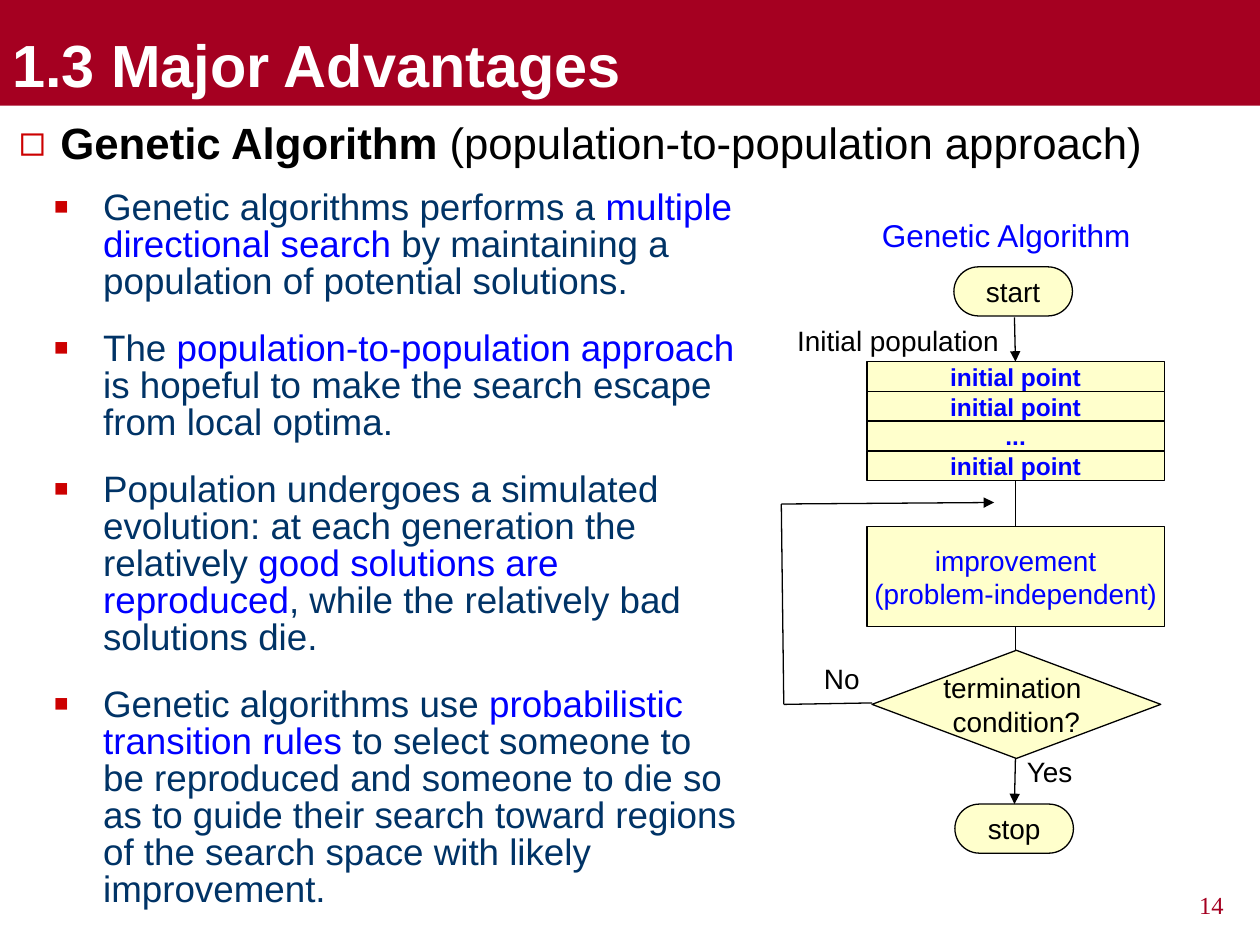
"""Build the genetic algorithm advantages slide with its flow chart."""
from lxml import etree
from pptx import Presentation
from pptx import util as u
from pptx.dml import color
from pptx.enum import shapes, text
from pptx.oxml import ns

COLORS = {
    "crimson": "A50021", "white": "FFFFFF", "black": "000000", "navy": "003366",
    "blue": "0000FF", "cream": "FFFFCC", "red": "CC0000",
}
TITLE = {"size": u.Pt(34), "bold": True}
HEADING = {"size": u.Pt(25)}
BODY = {"size": u.Pt(21)}
CAPTION = {"size": u.Pt(18)}
LABEL = {"size": u.Pt(16)}
POINT = {"size": u.Pt(14), "bold": True}
NUMBER = {"size": u.Pt(14), "name": "Times New Roman"}

LEFT, CENTER, RIGHT = text.PP_ALIGN.LEFT, text.PP_ALIGN.CENTER, text.PP_ALIGN.RIGHT
RECTANGLE = shapes.MSO_SHAPE.RECTANGLE
DECISION = shapes.MSO_SHAPE.FLOWCHART_DECISION
ROUNDED = shapes.MSO_SHAPE.ROUNDED_RECTANGLE

ADVANTAGES = [
    ("Genetic algorithms performs a ", "multiple directional search",
     " by maintaining a population of potential solutions."),
    ("The ", "population-to-population approach",
     " is hopeful to make the search escape from local optima."),
    ("Population undergoes a simulated evolution: at each generation the relatively ",
     "good solutions are reproduced", ", while the relatively bad solutions die."),
    ("Genetic algorithms use ", "probabilistic transition rules",
     " to select someone to be reproduced and someone to die so as to guide their "
     "search toward regions of the search space with likely improvement."),
]
COLUMN_LEFT, COLUMN_WIDTH, AXIS = 17.48, 5.99, 20.47
POINT_TOP, POINT_HEIGHT = 7.29, 0.6
NODES = [
    (RECTANGLE, (COLUMN_LEFT, 10.62, COLUMN_WIDTH, 2.01),
     "improvement\n(problem-independent)", LABEL, "blue"),
    (DECISION, (17.58, 13.11, 5.82, 2.18), "termination \ncondition?", LABEL, "black"),
    (ROUNDED, (19.23, 5.38, 2.39, 0.99), "start", LABEL, "black"),
    (ROUNDED, (19.25, 16.21, 2.39, 0.99), "stop", LABEL, "black"),
]
LABELS = [
    ((17.53, 4.24, 5.54, 1.02), "Genetic Algorithm", CAPTION, "blue"),
    ((15.82, 6.4, 4.57, 0.94), "Initial population", LABEL, "black"),
    ((20.45, 15.09, 1.47, 0.94), "Yes", LABEL, "black"),
    ((16.36, 13.21, 1.22, 0.94), "No", LABEL, "black"),
]
LINES = [
    ((20.45, 6.4), (AXIS, 7.29), True),
    ((AXIS, 15.29), (20.45, 16.21), True),
    ((AXIS, 9.69), (AXIS, 10.62), False),
    ((AXIS, 12.63), (AXIS, 13.11), False),
    ((15.75, 10.16), (20.04, 10.13), True),
    ((15.75, 10.16), (15.8, 14.2), False),
    ((15.8, 14.2), (17.58, 14.17), False),
]


def rgb(name):
    """Return the named colour."""
    return color.RGBColor.from_string(COLORS[name])


def apply(target, values):
    """Set each attribute in values on the target."""
    for name, value in values.items():
        setattr(target, name, value)


def add_run(paragraph, words, style, color_name):
    """Add a formatted run to a paragraph."""
    run = paragraph.add_run()
    run.text = words
    apply(run.font, {"name": "Arial", **style})
    run.font.color.rgb = rgb(color_name)


def write_lines(frame, words, style, color_name, align):
    """Write each line of words as its own paragraph."""
    for index, line in enumerate(words.split("\n")):
        paragraph = frame.add_paragraph() if index else frame.paragraphs[0]
        paragraph.alignment = align
        add_run(paragraph, line, style, color_name)


def add_bullet(paragraph, character, percent, margin, indent):
    """Give a paragraph a red bullet and a hanging indent."""
    properties = paragraph._p.get_or_add_pPr()
    properties.set("marL", str(u.Cm(margin)))
    properties.set("indent", str(u.Cm(indent)))
    bullet_color = etree.SubElement(properties, ns.qn("a:buClr"))
    etree.SubElement(bullet_color, ns.qn("a:srgbClr"), val=COLORS["red"])
    etree.SubElement(properties, ns.qn("a:buSzPct"), val=str(percent * 1000))
    etree.SubElement(properties, ns.qn("a:buFont"), typeface="Arial")
    etree.SubElement(properties, ns.qn("a:buChar"), char=character)


def add_text(slide, box, wrap=True):
    """Add a text box and return its frame."""
    frame = slide.shapes.add_textbox(*map(u.Cm, box)).text_frame
    frame.word_wrap = wrap
    return frame


def add_label(slide, box, words, style, color_name, align=LEFT, wrap=False):
    """Add a plain label."""
    write_lines(add_text(slide, box, wrap), words, style, color_name, align)


def add_node(slide, kind, box, words, style, color_name):
    """Add an outlined flow chart node with centred text."""
    shape = slide.shapes.add_shape(kind, *map(u.Cm, box))
    shape.shadow.inherit = False
    shape.fill.solid()
    shape.fill.fore_color.rgb = rgb("cream")
    shape.line.color.rgb = rgb("black")
    shape.line.width = u.Pt(0.75)
    if kind == ROUNDED:
        shape.adjustments[0] = 0.5
    apply(shape.text_frame, {"word_wrap": False, "vertical_anchor": text.MSO_ANCHOR.MIDDLE})
    write_lines(shape.text_frame, words, style, color_name, CENTER)


def add_line(slide, start, end, arrow):
    """Add a straight line, with an arrowhead at its end if asked."""
    connector = slide.shapes.add_connector(
        shapes.MSO_CONNECTOR.STRAIGHT, *map(u.Cm, start + end))
    connector.line.color.rgb = rgb("black")
    connector.line.width = u.Pt(0.75)
    if arrow:
        etree.SubElement(connector.line._get_or_add_ln(), ns.qn("a:tailEnd"), type="triangle")
    etree.SubElement(connector._element.spPr, ns.qn("a:effectLst"))


def add_title(slide):
    """Add the title band."""
    band = slide.shapes.add_shape(RECTANGLE, *map(u.Cm, (0, 0, 25.4, 2.13)))
    band.shadow.inherit = False
    band.fill.solid()
    band.fill.fore_color.rgb = rgb("crimson")
    band.line.fill.background()
    band.text_frame.vertical_anchor = text.MSO_ANCHOR.BOTTOM
    write_lines(band.text_frame, "1.3 Major Advantages", TITLE, "white", LEFT)


def add_heading(slide):
    """Add the bulleted heading."""
    paragraph = add_text(slide, (0.13, 2.21, 23.39, 1.32)).paragraphs[0]
    add_bullet(paragraph, "◻", 100, 0.84, -0.84)
    add_run(paragraph, "Genetic Algorithm", {**HEADING, "bold": True}, "black")
    add_run(paragraph, " (population-to-population approach)", HEADING, "black")


def add_advantages(slide):
    """Add the bulleted advantages with their key phrases in blue."""
    frame = add_text(slide, (0.1, 3.73, 15.01, 15.01))
    for index, parts in enumerate(ADVANTAGES):
        paragraph = frame.add_paragraph() if index else frame.paragraphs[0]
        paragraph.line_spacing = 0.84
        if index:
            paragraph.space_before = u.Pt(17)
        add_bullet(paragraph, "■", 65, 1.73, -0.99)
        for words, color_name in zip(parts, ("navy", "blue", "navy")):
            add_run(paragraph, words, BODY, color_name)


def add_flow_chart(slide):
    """Add the nodes, labels and lines of the flow chart."""
    for node in NODES:
        add_node(slide, *node)
    for row, words in enumerate(("initial point", "initial point", "...", "initial point")):
        box = (COLUMN_LEFT, POINT_TOP + row * POINT_HEIGHT, COLUMN_WIDTH, POINT_HEIGHT)
        add_node(slide, RECTANGLE, box, words, POINT, "blue")
    for label in LABELS:
        add_label(slide, *label)
    for line in LINES:
        add_line(slide, *line)


def main():
    """Build and save the presentation."""
    presentation = Presentation()
    apply(presentation, {"slide_width": u.Cm(25.4), "slide_height": u.Cm(19.05)})
    slide = presentation.slides.add_slide(presentation.slide_layouts[6])
    add_title(slide)
    add_advantages(slide)
    add_heading(slide)
    add_flow_chart(slide)
    add_label(slide, (19.41, 17.81, 5.51, 0.99), "14", NUMBER, "crimson", RIGHT, True)
    presentation.save("out.pptx")


if __name__ == "__main__":
    main()
